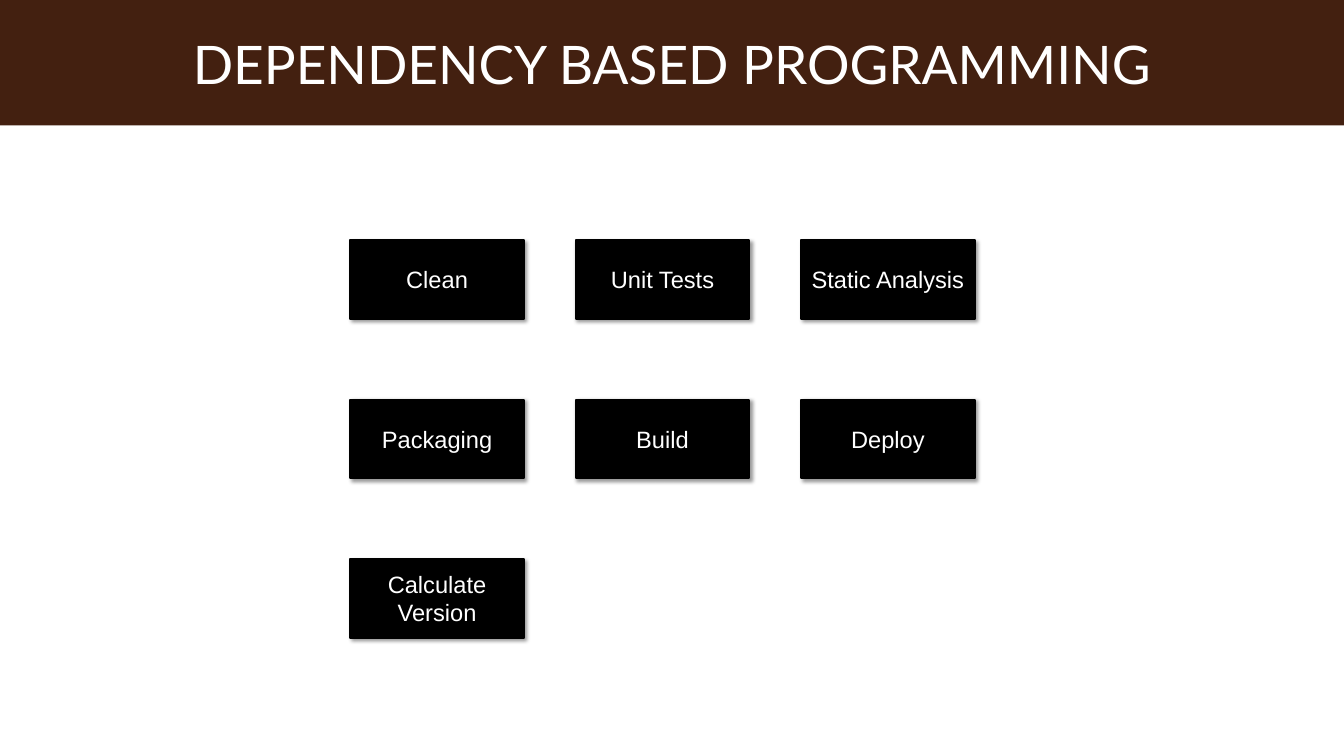
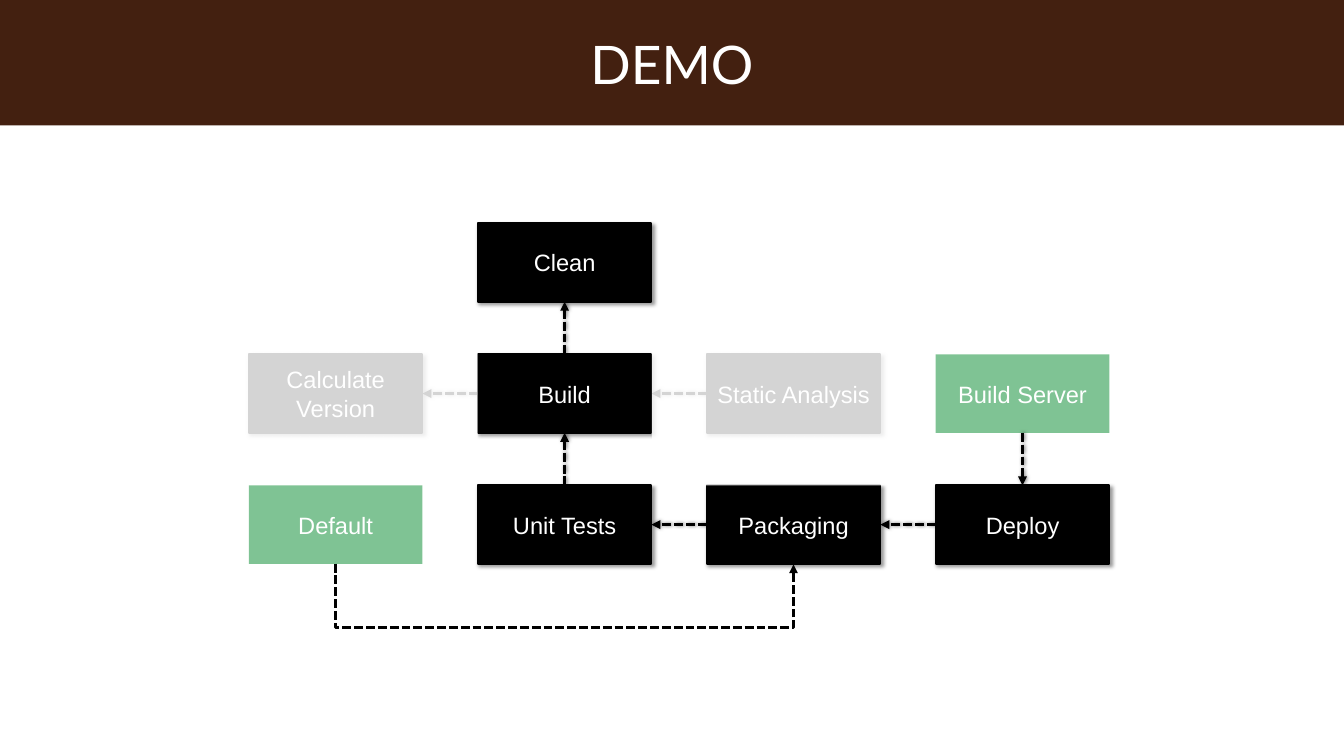
from pptx import Presentation, util as u
from pptx.dml.color import RGBColor
from pptx.enum import dml, shapes, text
from pptx.oxml.ns import qn
from lxml import etree

BROWN = RGBColor(0x43, 0x20, 0x10)
BLACK = RGBColor(0x00, 0x00, 0x00)
GREEN = RGBColor(0x00, 0x88, 0x2B)
WHITE = RGBColor(0xFF, 0xFF, 0xFF)
WIDTH, HEIGHT = 18.96, 10.67
BOX_WIDTH, BOX_HEIGHT = 2.45, 1.11
TOP, LEFT, BOTTOM, RIGHT = range(4)


def add_node(parent, tag, **attributes):
    node = etree.SubElement(parent, qn(tag))
    for name, value in attributes.items():
        node.set(name, str(value))
    return node


def add_opacity(color_node, percent):
    add_node(color_node, "a:alpha", val=percent * 1000)


def cast_shadow(effects, opacity, distance, degrees):
    shadow = add_node(effects, "a:outerShdw", blurRad=u.Pt(4), dist=u.Pt(distance),
                      dir=degrees * 60000, rotWithShape=0)
    add_opacity(add_node(shadow, "a:srgbClr", val=BLACK), opacity)


class Diagram:
    def __init__(self, deck):
        self.deck = deck

    def start(self, title, origin, pitch):
        self.page = self.deck.slides.add_slide(self.deck.slide_layouts[6])
        self.origin, self.pitch = origin, pitch
        band = self.panel(shapes.MSO_SHAPE.RECTANGLE, 0, 0, WIDTH, 0.166 * HEIGHT, BROWN)
        self.label(band, title, "Lato", 54)

    def place(self, column, row):
        return (self.origin[0] + column * self.pitch[0],
                self.origin[1] + row * self.pitch[1])

    def panel(self, kind, left, top, width, height, color, opacity=100):
        panel = self.page.shapes.add_shape(
            kind, *(u.Inches(length) for length in (left, top, width, height)))
        panel.shadow.inherit = False
        panel.fill.solid()
        panel.fill.fore_color.rgb = color
        panel.line.fill.background()
        if opacity < 100:
            fill = panel._element.spPr.find(qn("a:solidFill"))
            add_opacity(fill[0], opacity)
        return panel

    def label(self, panel, wording, font, size):
        frame = panel.text_frame
        frame.word_wrap = True
        frame.vertical_anchor = text.MSO_ANCHOR.MIDDLE
        frame.margin_left = frame.margin_right = u.Inches(0.06)
        frame.margin_top = frame.margin_bottom = u.Inches(0.06)
        frame.text = wording
        for para in frame.paragraphs:
            para.alignment = text.PP_ALIGN.CENTER
            para.font.name = font
            para.font.size = u.Pt(size)
            para.font.color.rgb = WHITE

    def box(self, wording, column, row, color=BLACK, opacity=100):
        box = self.panel(shapes.MSO_SHAPE.FLOWCHART_PROCESS, *self.place(column, row),
                         BOX_WIDTH, BOX_HEIGHT, color, opacity)
        self.label(box, wording, "Arial", 24)
        return box

    def task(self, wording, column, row):
        task = self.box(wording, column, row)
        task.line.color.rgb = BLACK
        task.line.width = u.Pt(2)
        cast_shadow(task._element.spPr.find(qn("a:effectLst")), 40, 3, 45)
        return task

    def entry(self, wording, column, row):
        return self.box(wording, column, row, GREEN, 50)

    def veil(self, column, row, columns, rows):
        self.panel(shapes.MSO_SHAPE.RECTANGLE, *self.place(column, row),
                   columns * self.pitch[0], rows * self.pitch[1], WHITE, 83)

    def dashed(self, kind, *ends):
        arrow = self.page.shapes.add_connector(kind, *ends)
        arrow.line.color.rgb = BLACK
        arrow.line.width = u.Pt(3)
        arrow.line.dash_style = dml.MSO_LINE.SQUARE_DOT
        properties = arrow._element.spPr
        add_node(properties.find(qn("a:ln")), "a:tailEnd", type="triangle")
        return arrow, properties, add_node(properties, "a:effectLst")

    def arrow(self, source, source_side, target, target_side):
        arrow, _, effects = self.dashed(shapes.MSO_CONNECTOR.STRAIGHT, 0, 0, 0, 0)
        arrow.begin_connect(source, source_side)
        arrow.end_connect(target, target_side)
        cast_shadow(effects, 50, 1, 0)

    def detour(self, source, target, depth):
        start = source.left + source.width // 2
        end = target.left + target.width // 2
        bottom = source.top + source.height
        middle, span, rise = (start + end) // 2, end - start, u.Inches(0.01)
        _, properties, _ = self.dashed(
            shapes.MSO_CONNECTOR.ELBOW, middle - rise // 2, bottom - span // 2,
            middle + rise // 2, bottom + span // 2)
        frame = properties.find(qn("a:xfrm"))
        frame.set("rot", str(270 * 60000))
        frame.set("flipH", "1")
        shape_guides = properties.find(qn("a:prstGeom")).find(qn("a:avLst"))
        ratio = round(u.Inches(depth) / rise * 100000)
        add_node(shape_guides, "a:gd", name="adj1", fmla=f"val {ratio}")


deck = Presentation()
deck.slide_width, deck.slide_height = u.Inches(WIDTH), u.Inches(HEIGHT)
diagram = Diagram(deck)

diagram.start("DEPENDENCY BASED PROGRAMMING", (4.94, 3.39), (3.18, 2.25))
names = ["Clean", "Unit Tests", "Static Analysis", "Packaging", "Build", "Deploy",
         "Calculate\nVersion"]
for index, name in enumerate(names):
    diagram.task(name, index % 3, index // 3)

diagram.start("DEMO", (3.51, 3.15), (3.23, 1.85))
version = diagram.task("Calculate\nVersion", 0, 1)
clean = diagram.task("Clean", 1, 0)
tests = diagram.task("Unit Tests", 1, 2)
analysis = diagram.task("Static Analysis", 2, 1)
packaging = diagram.task("Packaging", 2, 2)
build = diagram.task("Build", 1, 1)
deploy = diagram.task("Deploy", 3, 2)
default = diagram.entry("Default", 0, 2)
server = diagram.entry("Build Server", 3, 1)
for source, target in [(build, version), (analysis, build), (packaging, tests),
                       (deploy, packaging)]:
    diagram.arrow(source, LEFT, target, RIGHT)
for source, target in [(build, clean), (tests, build)]:
    diagram.arrow(source, TOP, target, BOTTOM)
diagram.arrow(server, BOTTOM, deploy, TOP)
diagram.detour(default, packaging, 0.92)
diagram.veil(-0.02, 0.9, 1.02, 0.8)
diagram.veil(1.76, 0.66, 1.14, 1.34)

deck.save("out.pptx")
